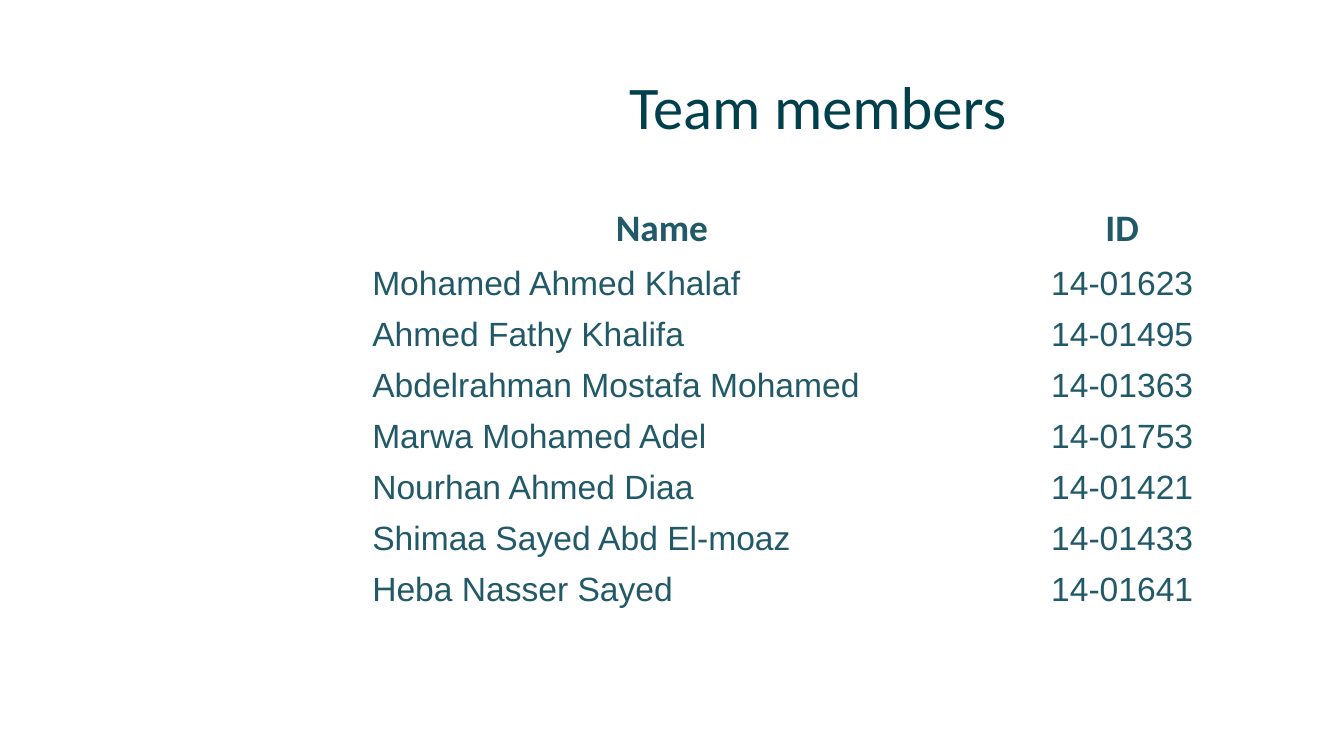
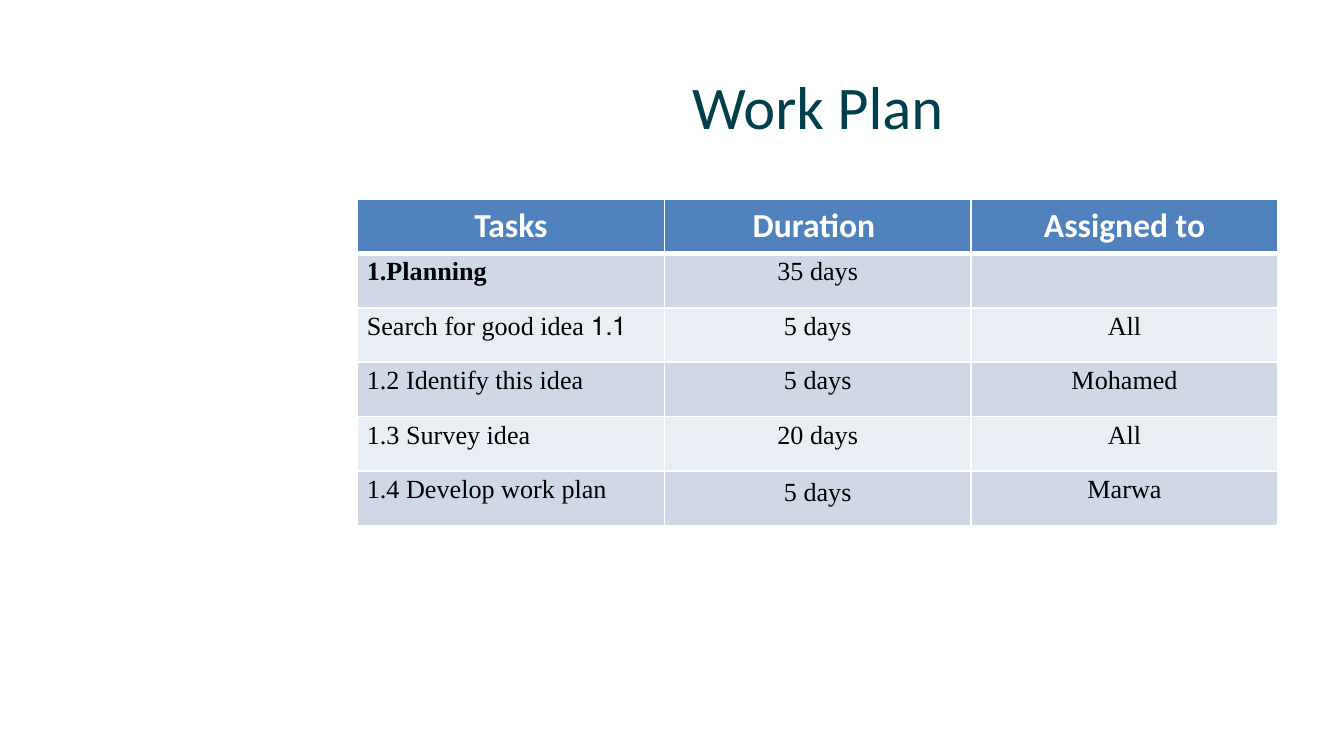
from collections import namedtuple
from dataclasses import dataclass

from lxml.etree import SubElement
from pptx import Presentation
from pptx.dml.color import RGBColor
from pptx.enum.text import MSO_ANCHOR, PP_ALIGN
from pptx.oxml.ns import qn
from pptx.util import Inches, Pt

Box = namedtuple("Box", "left top width height")


@dataclass(frozen=True)
class TextStyle:
    font: str
    size: float
    color: str
    bold: bool = False
    compact: bool = False  # narrow cell margins with spaced lines


@dataclass(frozen=True)
class Theme:
    title = TextStyle("Calibri", 32.4, "003F4C")
    member_head = TextStyle("Calibri", 20, "215968", bold=True)
    member = TextStyle("Arial", 18, "215968")
    plan_head = TextStyle("Calibri", 18, "FFFFFF", bold=True)
    phase = TextStyle("Times New Roman", 14, "000000", bold=True, compact=True)
    task = TextStyle("Times New Roman", 14, "000000", compact=True)
    task_roomy = TextStyle("Times New Roman", 14, "000000")
    background = "FFFFFF"
    border = "FFFFFF"
    head_fill = "4F81BD"
    band_fills = ("D0D8E8", "E9EDF4")
    thin, thick = 1, 3


THEME = Theme()
TITLE_BOX = Box(2.66, 0.47, 6.85, 0.63)

MEMBERS = [
    ("Name", "ID"),
    ("Mohamed Ahmed Khalaf", "14-01623"),
    ("Ahmed Fathy Khalifa", "14-01495"),
    ("Abdelrahman Mostafa Mohamed", "14-01363"),
    ("Marwa Mohamed Adel", "14-01753"),
    ("Nourhan Ahmed Diaa", "14-01421"),
    ("Shimaa Sayed Abd El-moaz", "14-01433"),
    ("Heba Nasser Sayed", "14-01641"),
]
PLAN = [
    ("Tasks", "Duration ", "Assigned to"),
    ("1.Planning", "35 days", ""),
    ("1.1 Search for good idea", "5 days", "All"),
    ("1.2 Identify this idea", "5 days", "Mohamed"),
    ("1.3 Survey idea", "20 days", "All"),
    ("1.4 Develop work plan", "5 days", "Marwa"),
]


def style_paragraph(para, style, align):
    para.alignment = align
    para.font.name = style.font
    para.font.size = Pt(style.size)
    para.font.bold = style.bold
    para.font.color.rgb = RGBColor.from_string(style.color)


def add_titled_page(deck, title):
    page = deck.slides.add_slide(deck.slide_layouts[5])
    page.background.fill.solid()
    page.background.fill.fore_color.rgb = RGBColor.from_string(THEME.background)
    holder = page.shapes.title
    holder.left, holder.top, holder.width, holder.height = map(Inches, TITLE_BOX)
    frame = holder.text_frame
    frame.text = title
    frame.vertical_anchor = MSO_ANCHOR.MIDDLE
    style_paragraph(frame.paragraphs[0], THEME.title, PP_ALIGN.CENTER)
    return page


def set_borders(cell, row):
    """Thin rules all round, with a thick one between header and body."""
    widths = {
        "a:lnL": THEME.thin,
        "a:lnR": THEME.thin,
        "a:lnT": THEME.thick if row == 1 else THEME.thin,
        "a:lnB": THEME.thick if row == 0 else THEME.thin,
    }
    properties = cell._tc.get_or_add_tcPr()
    for tag, width in widths.items():
        line = SubElement(properties, qn(tag), w=str(Pt(width)))
        fill = SubElement(line, qn("a:solidFill"))
        SubElement(fill, qn("a:srgbClr"), val=THEME.border)


def fill_cell(cell, text, style, align, fill):
    if fill:
        cell.fill.solid()
        cell.fill.fore_color.rgb = RGBColor.from_string(fill)
    else:
        cell.fill.background()
    if not text:
        return
    cell.text = text
    para = cell.text_frame.paragraphs[0]
    style_paragraph(para, style, align)
    if style.compact:
        cell.margin_left = cell.margin_right = Inches(0.07)
        cell.margin_top = cell.margin_bottom = 0
        para.line_spacing = 1.15
        para.space_after = Pt(10)


def add_grid(page, box, rows, column_widths, row_heights, pick_style, pick_fill):
    """Table with a centred header and a left-aligned first column."""
    frame = page.shapes.add_table(len(rows), len(rows[0]), *map(Inches, box))
    table = frame.table
    table.first_row = table.horz_banding = False
    for column, width in zip(table.columns, column_widths):
        column.width = Inches(width)
    for row, (texts, height) in enumerate(zip(rows, row_heights)):
        table.rows[row].height = Inches(height)
        for column, text in enumerate(texts):
            cell = table.cell(row, column)
            set_borders(cell, row)
            left = row > 0 and column == 0
            align = PP_ALIGN.LEFT if left else PP_ALIGN.CENTER
            fill_cell(cell, text, pick_style(row, column), align, pick_fill(row))
    # Row heights may sum to less than the frame, so restore its size.
    frame.width, frame.height = Inches(box.width), Inches(box.height)
    return table


def member_style(row, column):
    return THEME.member if row else THEME.member_head


def plan_style(row, column):
    if row == 0:
        return THEME.plan_head
    if (row, column) == (1, 0):
        return THEME.phase
    if (row, column) == (len(PLAN) - 1, 1):
        return THEME.task_roomy
    return THEME.task


def plan_fill(row):
    return THEME.band_fills[(row - 1) % 2] if row else THEME.head_fill


def add_members_page(deck, box):
    page = add_titled_page(deck, "Team members")
    heights = [0.38] * len(MEMBERS)
    add_grid(page, box, MEMBERS, (4.51, 2.34), heights, member_style, lambda row: None)


def add_plan_page(deck, box):
    page = add_titled_page(deck, "Work Plan")
    columns = len(PLAN[0])
    # The header row takes the height of its text.
    heights = [0] + [box.height / len(PLAN)] * (len(PLAN) - 1)
    table = add_grid(page, box, PLAN, [box.width / columns] * columns,
                     heights, plan_style, plan_fill)
    search_task = table.cell(2, 0).text_frame.paragraphs[0]
    search_task._p.get_or_add_pPr().set("rtl", "1")


def main():
    deck = Presentation()
    deck.slide_width = Inches(10)
    deck.slide_height = deck.slide_width * 9 // 16
    add_members_page(deck, Box(2.67, 1.48, 6.85, 3.23))
    add_plan_page(deck, Box(2.66, 1.48, 6.85, 2.43))
    deck.save("out.pptx")


if __name__ == "__main__":
    main()
